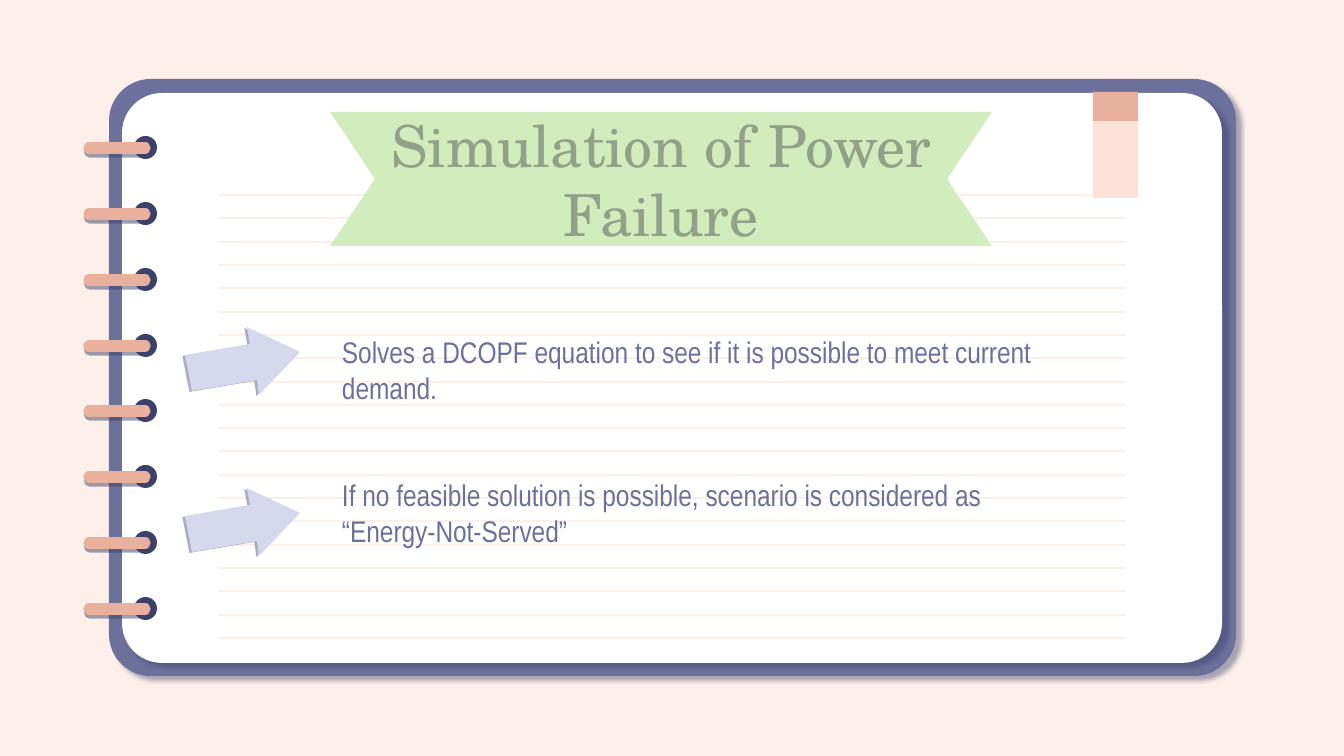
from typing import NamedTuple, Optional

from lxml import etree
from pptx import Presentation
from pptx.dml.color import RGBColor
from pptx.enum.shapes import MSO_CONNECTOR, MSO_SHAPE
from pptx.enum.text import MSO_ANCHOR, PP_ALIGN
from pptx.oxml.ns import qn
from pptx.util import Emu, Pt

EMU_PER_PX = 914400 / 134.4

RECTANGLE, ROUNDED, OVAL = MSO_SHAPE.RECTANGLE, MSO_SHAPE.ROUNDED_RECTANGLE, MSO_SHAPE.OVAL
STRAIGHT = MSO_CONNECTOR.STRAIGHT
TOP, MIDDLE = MSO_ANCHOR.TOP, MSO_ANCHOR.MIDDLE
LEFT, CENTER = PP_ALIGN.LEFT, PP_ALIGN.CENTER

BLUSH = RGBColor(0xFD, 0xEF, 0xEA)
COVER_BLUE = RGBColor(0x6B, 0x71, 0x9B)
NAVY = RGBColor(0x3C, 0x41, 0x69)
WHITE = RGBColor(0xFF, 0xFF, 0xFF)
SALMON = RGBColor(0xE9, 0xB0, 0x9D)
PEACH = RGBColor(0xFD, 0xE0, 0xD6)
GREEN = RGBColor(0xD1, 0xED, 0xBE)
SAGE = RGBColor(0x92, 0xA1, 0x89)
LAVENDER = RGBColor(0xD6, 0xD9, 0xED)


class Box(NamedTuple):
    left: int
    top: int
    width: int
    height: int


class Point(NamedTuple):
    x: int
    y: int


class Shadow(NamedTuple):
    opacity: int  # percent
    blur: float  # points
    distance: float  # points
    angle: int  # degrees


BOOK_SHADOW = Shadow(44, 1.1, 4.5, 44)
RING_SHADOW = Shadow(50, 0, 2.2, 80)
ARROW_SHADOW = Shadow(42, 0, 1.5, 160)

COVER = Box(109, 79, 1127, 597)
PAGE = Box(122, 93, 1100, 570)
RULE_COUNT, RULE_TOP, RULE_SPAN = 20, 195, 443
RING_COUNT, RING_TOP, RING_SPAN = 8, 136, 461
BANNER = Box(374, 112, 574, 134)
TAIL_WIDTH = 45
NOTES = Box(329, 317, 750, 317)
ARROW = [Point(300, 352), Point(247, 327), Point(250, 344), Point(185, 355),
         Point(192, 391), Point(257, 380), Point(259, 395)]
ARROW_STEP = 161


def px(length: float) -> Emu:
    return Emu(round(length * EMU_PER_PX))


def set_shadow(shape, shadow: Optional[Shadow]) -> None:
    """Replace the theme shadow; fill and line must be set before."""
    effects = etree.SubElement(shape._element.spPr, qn("a:effectLst"))
    if shadow is None:
        return
    outer = etree.SubElement(
        effects, qn("a:outerShdw"), blurRad=str(Pt(shadow.blur)), dist=str(Pt(shadow.distance)),
        dir=str(shadow.angle * 60000), algn="bl", rotWithShape="0")
    color = etree.SubElement(outer, qn("a:srgbClr"), val=str(NAVY))
    etree.SubElement(color, qn("a:alpha"), val=str(shadow.opacity * 1000))


def paint(shape, fill: RGBColor, shadow: Optional[Shadow] = None) -> None:
    shape.fill.solid()
    shape.fill.fore_color.rgb = fill
    shape.line.fill.background()
    set_shadow(shape, shadow)


def add_block(slide, kind, box: Box, fill: RGBColor, shadow: Optional[Shadow] = None):
    shape = slide.shapes.add_shape(kind, *map(px, box))
    paint(shape, fill, shadow)
    return shape


def add_line(slide, start: Point, end: Point, color: RGBColor, width: float,
             shadow: Optional[Shadow] = None, cap: str = "flat") -> None:
    line = slide.shapes.add_connector(STRAIGHT, *map(px, start + end))
    line.line.color.rgb = color
    line.line.width = Pt(width)
    line._element.spPr.find(qn("a:ln")).set("cap", cap)
    set_shadow(line, shadow)


def add_polygon(slide, points: list[Point], fill: RGBColor,
                shadow: Optional[Shadow] = None) -> None:
    builder = slide.shapes.build_freeform(*points[0], scale=EMU_PER_PX)
    builder.add_line_segments(points[1:], close=True)
    paint(builder.convert_to_shape(), fill, shadow)


def write_text(shape, lines: list[str], *, font: str, size: int, color: RGBColor,
               align=LEFT, anchor=MIDDLE, inset_top: int = 13, gap: int = 0) -> None:
    frame = shape.text_frame
    frame.word_wrap = True
    frame.vertical_anchor = anchor
    frame.margin_left = frame.margin_right = frame.margin_bottom = px(13)
    frame.margin_top = px(inset_top)
    for index, text in enumerate(lines):
        para = frame.add_paragraph() if index else frame.paragraphs[0]
        para.alignment = align
        para.space_before = Pt(gap if index else 0)
        span = para.add_run()
        span.text = text
        span.font.name = font
        span.font.size = Pt(size)
        span.font.color.rgb = color


def draw_notebook(slide) -> None:
    for box, fill in ((COVER, COVER_BLUE), (PAGE, WHITE)):
        add_block(slide, ROUNDED, box, fill, BOOK_SHADOW).adjustments[0] = 0.07

    # Ruled lines
    for index in range(RULE_COUNT):
        y = RULE_TOP + round(index * RULE_SPAN / (RULE_COUNT - 1))
        add_line(slide, Point(218, y), Point(1126, y), BLUSH, 0.75)

    # Binder rings
    for index in range(RING_COUNT):
        top = RING_TOP + round(index * RING_SPAN / (RING_COUNT - 1))
        add_block(slide, OVAL, Box(134, top, 23, 23), NAVY)
        add_line(slide, Point(89, top + 12), Point(145, top + 12), SALMON, 6, RING_SHADOW, "rnd")


def draw_banner(slide) -> None:
    ribbon = add_block(slide, RECTANGLE, BANNER, GREEN)
    write_text(ribbon, ["Simulation of Power Failure"], font="TeX Gyre Schola",
               size=31, color=SAGE, align=CENTER)

    # Swallow tails: two triangles at each end
    middle = BANNER.top + BANNER.height // 2
    right = BANNER.left + BANNER.width
    for inner, outward in ((BANNER.left + 1, -1), (right - 1, 1)):
        for edge in (BANNER.top, BANNER.top + BANNER.height):
            add_polygon(slide, [Point(inner, middle), Point(inner + outward * TAIL_WIDTH, edge),
                                Point(inner - outward, edge)], GREEN)


def draw_notes(slide) -> None:
    notes = slide.shapes.add_textbox(*map(px, NOTES))
    write_text(notes, [
        "Solves a DCOPF equation to see if it is possible to meet current demand.",
        "If no feasible solution is possible, scenario is considered as “Energy-Not-Served”",
    ], font="Arial Narrow", size=16, color=COVER_BLUE, anchor=TOP, inset_top=17, gap=38)

    for drop in (0, ARROW_STEP):
        add_polygon(slide, [Point(x, y + drop) for x, y in ARROW], LAVENDER, ARROW_SHADOW)


def draw_bookmark(slide) -> None:
    add_block(slide, RECTANGLE, Box(1093, 92, 45, 106), PEACH)
    add_block(slide, RECTANGLE, Box(1093, 92, 45, 29), SALMON)


def main() -> None:
    deck = Presentation()
    deck.slide_width, deck.slide_height = px(1344), px(756)
    slide = deck.slides.add_slide(deck.slide_layouts[6])
    slide.background.fill.solid()
    slide.background.fill.fore_color.rgb = BLUSH

    draw_notebook(slide)
    draw_banner(slide)
    draw_notes(slide)
    draw_bookmark(slide)
    deck.save("out.pptx")


if __name__ == "__main__":
    main()
